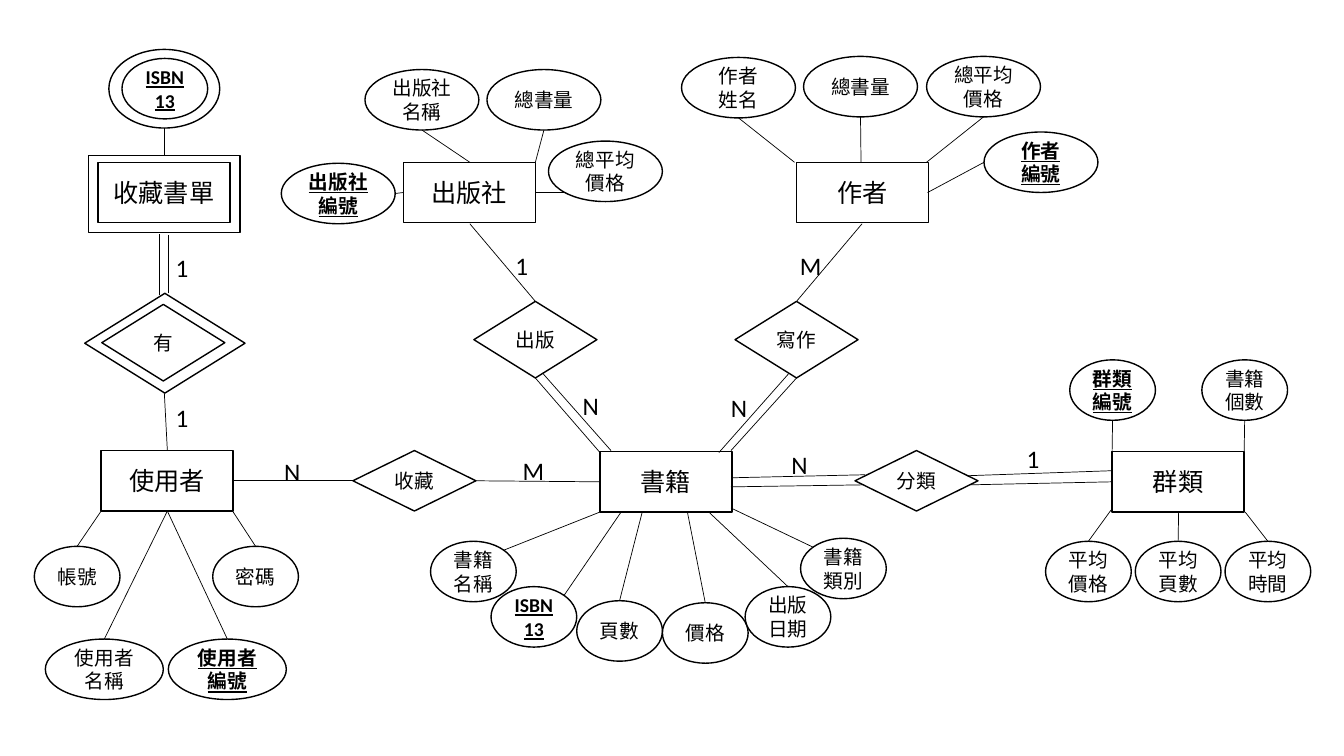
"""Build an entity-relationship diagram of a book collection system."""
import pptx
import pptx.dml.color
import pptx.enum.shapes
import pptx.enum.text
import pptx.util
from lxml import etree

Inches = pptx.util.Inches
Kind = pptx.enum.shapes.MSO_SHAPE
BLACK = pptx.dml.color.RGBColor(0, 0, 0)
WHITE = pptx.dml.color.RGBColor(255, 255, 255)
FONT = "Calibri"
ENTITY_SIZE = (1.31, 0.6)
OVAL_HEIGHT = 0.6
SMALL, MEDIUM, WIDE = 0.85, 1.13, 1.17
ANCHORS = {
    "top": (0.5, 0), "bottom": (0.5, 1), "left": (0, 0.5), "right": (1, 0.5),
    "top left": (0.15, 0.15), "top right": (0.85, 0.15), "bottom left": (0.15, 0.85),
}

ENTITIES = [
    ("書籍", 5.95, 4.48), ("出版社", 4, 1.61), ("作者", 7.9, 1.61),
    ("使用者", 1, 4.47), ("群類", 11.03, 4.48), ("收藏書單", 0.97, 1.61),
]
ATTRIBUTES = [
    ("書籍名稱", 4.27, 5.37, SMALL, "top right", (5.95, 5.08)),
    ("ISBN13", 4.87, 5.82, SMALL, "top right", (6.16, 5.08)),
    ("頁數", 5.72, 5.96, SMALL, "top", (6.37, 5.08)),
    ("價格", 6.57, 5.98, SMALL, "top", (6.82, 5.09)),
    ("出版日期", 7.39, 5.82, SMALL, "top", (7.03, 5.08)),
    ("書籍類別", 7.94, 5.34, SMALL, "top left", (7.25, 5.04)),
    ("出版社名稱", 3.62, 0.69, MEDIUM, "bottom", (4.66, 1.61)),
    ("總書量", 4.83, 0.69, MEDIUM, "bottom", (5.31, 1.61)),
    ("總平均價格", 5.44, 1.4, MEDIUM, "bottom left", (5.31, 1.91)),
    ("出版社編號", 2.79, 1.62, MEDIUM, "right", (4, 1.91)),
    ("作者\n姓名", 6.76, 0.57, MEDIUM, "bottom", (7.88, 1.61)),
    ("總書量", 7.97, 0.56, MEDIUM, "bottom", (8.54, 1.61)),
    ("總平均價格", 9.19, 0.56, MEDIUM, "bottom", (9.19, 1.61)),
    ("作者\n編號", 9.76, 1.31, MEDIUM, "left", (9.2, 1.91)),
    ("使用者編號", 1.67, 6.34, WIDE, "top", (1.66, 5.07)),
    ("使用者名稱", 0.45, 6.34, WIDE, "top", (1.66, 5.07)),
    ("帳號", 0.34, 5.42, SMALL, "top", (1.01, 5.06)),
    ("密碼", 2.11, 5.42, SMALL, "top", (2.3, 5.06)),
    ("群類編號", 10.61, 3.57, SMALL, "bottom", (11.03, 4.48)),
    ("書籍個數", 11.92, 3.57, SMALL, "bottom", (12.34, 4.48)),
    ("平均時間", 12.15, 5.37, SMALL, "top", (12.35, 5.08)),
    ("平均價格", 10.37, 5.37, SMALL, "top", (11.02, 5.06)),
    ("平均頁數", 11.26, 5.37, SMALL, "top", (11.69, 5.08)),
    ("ISBN13", 1.21, 0.58, SMALL, None, None),
]
KEYS = {"ISBN13", "出版社編號", "作者\n編號", "使用者編號", "群類編號"}
RELATIONS = [
    ("出版", 4.7, 2.99, 1.22, 0.76), ("寫作", 7.29, 2.99, 1.22, 0.76),
    ("收藏", 3.5, 4.47, 1.22, 0.6), ("分類", 8.48, 4.47, 1.22, 0.6),
    ("有", 1.01, 3.02, 1.22, 0.76),
]
WEAK_OUTLINES = [
    (Kind.FLOWCHART_DECISION, 0.84, 2.91, 1.59, 0.99),
    (Kind.RECTANGLE, 0.88, 1.54, 1.5, 0.77),
    (Kind.OVAL, 1.08, 0.49, 1.1, 0.78),
]
LINKS = [
    ((4.66, 2.22), (5.31, 2.99)), ((5.38, 3.7), (6.06, 4.47)), ((5.31, 3.75), (5.96, 4.5)),
    ((8.55, 2.22), (7.9, 2.99)), ((7.9, 3.75), (7.25, 4.47)), ((7.82, 3.71), (7.13, 4.49)),
    ((2.31, 4.77), (3.5, 4.77)), ((4.72, 4.77), (5.95, 4.78)),
    ((1.58, 2.93), (1.58, 2.32)), ((1.67, 2.91), (1.67, 2.33)),
    ((1.66, 4.47), (1.63, 3.9)), ((1.63, 1.54), (1.63, 1.27)),
    ((7.26, 4.74), (8.58, 4.71)), ((7.25, 4.83), (8.57, 4.81)),
    ((9.59, 4.72), (11.03, 4.67)), ((9.62, 4.81), (11.03, 4.78)),
]
LABEL_WIDTHS = {"1": 0.33, "N": 0.36, "M": 0.42}
CARDINALITIES = [
    ("1", 5.01, 2.43), ("N", 5.68, 3.82), ("M", 7.83, 2.43), ("N", 7.15, 3.84),
    ("N", 2.72, 4.48), ("M", 5.08, 4.47), ("1", 1.64, 2.45), ("1", 1.64, 3.94),
    ("N", 7.75, 4.41), ("1", 10.08, 4.35),
]


def write(frame, text, size, key=False):
    """Write centred text run by run, underlining key attributes."""
    para = frame.paragraphs[0]
    para.alignment = pptx.enum.text.PP_ALIGN.CENTER
    for index, part in enumerate(text.split("\n")):
        if index:
            para.add_line_break()
        span = para.add_run()
        span.text = part
        span.font.name = FONT
        span.font.size = pptx.util.Pt(size)
        span.font.color.rgb = BLACK
        if key:
            span.font.bold = True
            span.font.underline = True


def add_node(page, kind, bounds, text="", size=14, key=False):
    """Add a white outlined shape with optional centred text."""
    node = page.shapes.add_shape(kind, *map(Inches, bounds))
    node.shadow.inherit = False
    node.fill.solid()
    node.fill.fore_color.rgb = WHITE
    node.line.color.rgb = BLACK
    node.line.width = pptx.util.Pt(1)
    if text:
        node.text_frame.word_wrap = True
        node.text_frame.vertical_anchor = pptx.enum.text.MSO_ANCHOR.MIDDLE
        write(node.text_frame, text, size, key)


def add_link(page, start, end):
    """Add a thin straight connector without a shadow."""
    link = page.shapes.add_connector(
        pptx.enum.shapes.MSO_CONNECTOR.STRAIGHT, *map(Inches, start + end))
    link.line.color.rgb = BLACK
    link.line.width = pptx.util.Pt(0.5)
    properties = link._element.spPr
    etree.SubElement(properties, pptx.oxml.ns.qn("a:effectLst"))


def add_label(page, text, left, top):
    """Add a cardinality label."""
    box = page.shapes.add_textbox(*map(Inches, (left, top, LABEL_WIDTHS[text], 0.4)))
    box.text_frame.word_wrap = False
    box.text_frame.auto_size = pptx.enum.text.MSO_AUTO_SIZE.SHAPE_TO_FIT_TEXT
    write(box.text_frame, text, 18)


deck = pptx.Presentation()
deck.slide_width, deck.slide_height = Inches(13.33), Inches(7.5)
page = deck.slides.add_slide(deck.slide_layouts[6])

for kind, *bounds in WEAK_OUTLINES:
    add_node(page, kind, bounds)
for name, *bounds in RELATIONS:
    add_node(page, Kind.FLOWCHART_DECISION, bounds, name)
for name, left, top in ENTITIES:
    add_node(page, Kind.RECTANGLE, (left, top, *ENTITY_SIZE), name, 18)
for name, left, top, width, anchor, target in ATTRIBUTES:
    add_node(page, Kind.OVAL, (left, top, width, OVAL_HEIGHT), name, key=name in KEYS)
    if anchor:
        across, down = ANCHORS[anchor]
        add_link(page, (left + across * width, top + down * OVAL_HEIGHT), target)
for start, end in LINKS:
    add_link(page, start, end)
for label in CARDINALITIES:
    add_label(page, *label)

deck.save("out.pptx")
